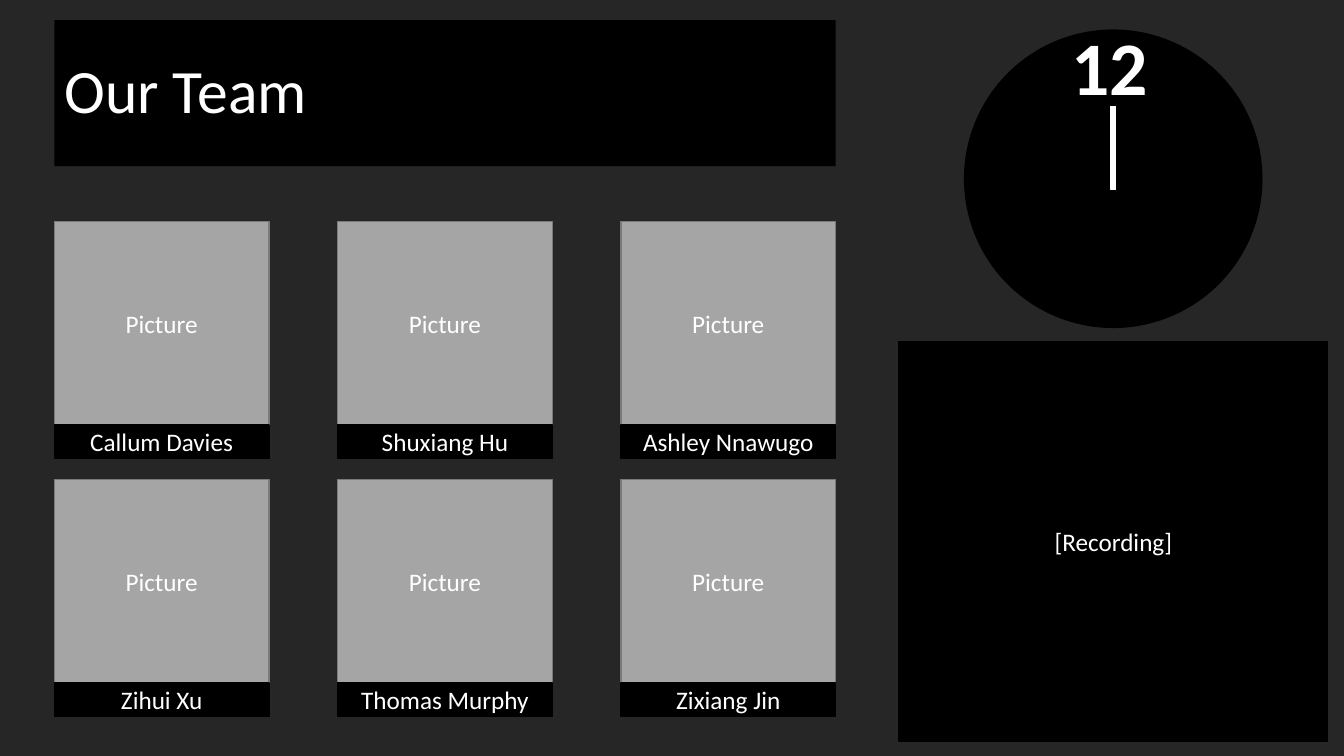
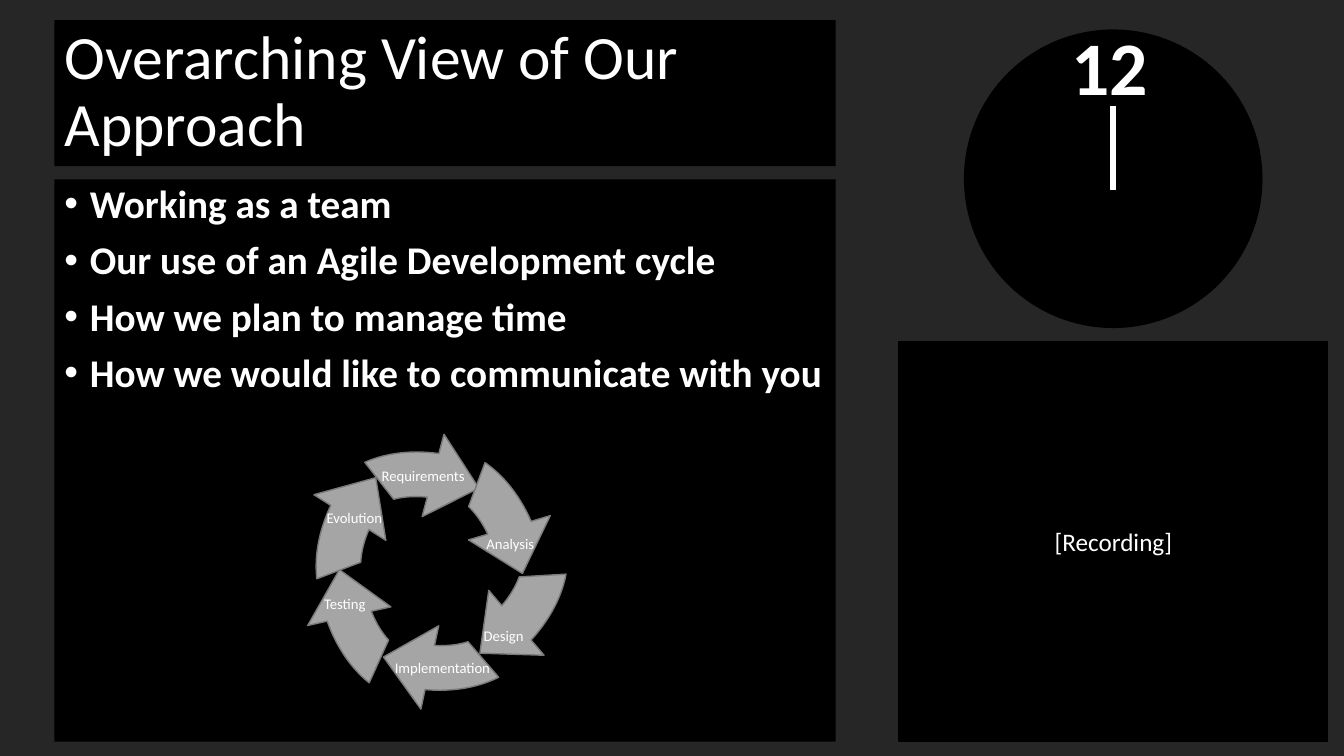
"""Build two team slides with a shared clock and recording panel."""
from pptx import Presentation
from pptx.dml.color import RGBColor
from pptx.enum import shapes, text
from pptx.util import Cm, Pt

BACKDROP = RGBColor(0x26, 0x26, 0x26)
BLACK = RGBColor(0, 0, 0)
WHITE = RGBColor(0xFF, 0xFF, 0xFF)
GREY = RGBColor(0xA5, 0xA5, 0xA5)
EDGE = RGBColor(0x7A, 0x7A, 0x7A)
FONT = "Calibri"
KIND = shapes.MSO_SHAPE
ALIGN = text.PP_ALIGN
ANCHOR = text.MSO_ANCHOR
LEFT, WIDTH = 1.37, 19.69


def write(sp, lines, size=18, bold=False, align=ALIGN.CENTER,
          anchor=ANCHOR.MIDDLE, wrap=True, spacing=None, before=0, indent=None):
    tf = sp.text_frame
    tf.word_wrap = wrap
    tf.auto_size = text.MSO_AUTO_SIZE.NONE
    tf.vertical_anchor = anchor
    tf.text = lines
    for p in tf.paragraphs:
        p.alignment = align
        p.line_spacing = spacing
        p.space_before = Pt(before)
        if indent:
            pPr = p._p.get_or_add_pPr()
            pPr.set("marL", str(Cm(indent)))
            pPr.set("indent", str(-Cm(indent)))
        for r in p.runs:
            r.font.name = FONT
            r.font.size = Pt(size)
            r.font.bold = bold
            r.font.color.rgb = WHITE


def add_box(slide, kind, left, top, width, height, fill=BLACK, line=BLACK):
    sp = slide.shapes.add_shape(kind, Cm(left), Cm(top), Cm(width), Cm(height))
    sp.shadow.inherit = False
    sp.fill.solid()
    sp.fill.fore_color.rgb = fill
    sp.line.color.rgb = line
    sp.line.width = Pt(1)
    return sp


prs = Presentation()
prs.slide_width, prs.slide_height = Cm(33.87), Cm(19.05)
background = prs.slide_master.background.fill
background.solid()
background.fore_color.rgb = BACKDROP

team = prs.slides.add_slide(prs.slide_layouts.get_by_name("Title Only"))
approach = prs.slides.add_slide(prs.slide_layouts.get_by_name("Title and Content"))

for slide, heading in ((team, "Our Team"),
                       (approach, "Overarching View of Our Approach")):
    add_box(slide, KIND.OVAL, 24.31, 0.76, 7.49, 7.49)
    add_box(slide, KIND.RECTANGLE, 27.99, 2.69, 0.13, 2.08, WHITE, WHITE)
    hour = slide.shapes.add_textbox(Cm(26.75), Cm(0.38), Cm(2.46), Cm(2.57))
    write(hour, "12", size=54, bold=True, align=ALIGN.LEFT,
          anchor=ANCHOR.TOP, wrap=False)
    recording = add_box(slide, KIND.RECTANGLE, 22.66, 8.61, 10.8, 10.06)
    write(recording, "[Recording]")

    title = slide.shapes.title
    title.left, title.top = Cm(LEFT), Cm(0.51)
    title.width, title.height = Cm(WIDTH), Cm(3.68)
    title.fill.solid()
    title.fill.fore_color.rgb = BLACK
    write(title, heading, size=44, align=ALIGN.LEFT, spacing=0.9)

members = ["Callum Davies", "Shuxiang Hu", "Ashley Nnawugo",
           "Zihui Xu", "Thomas Murphy", "Zixiang Jin"]
card_width, photo_height = 5.41, 5.12
for i, member in enumerate(members):
    row, column = divmod(i, 3)
    left = LEFT + column * (WIDTH - card_width) / 2
    top = 5.59 + row * 6.5
    photo = add_box(team, KIND.RECTANGLE, left, top, card_width, photo_height, GREY, EDGE)
    write(photo, "Picture")
    name = add_box(team, KIND.RECTANGLE, left, top + photo_height, card_width, 0.84)
    write(name, member)

body = approach.placeholders[1]
body.left, body.top = Cm(LEFT), Cm(4.52)
body.width, body.height = Cm(WIDTH), Cm(14.17)
body.fill.solid()
body.fill.fore_color.rgb = BLACK
points = ["Working as a team", "Our use of an Agile Development cycle",
          "How we plan to manage time", "How we would like to communicate with you"]
write(body, "\n".join(points), size=28, bold=True, align=ALIGN.LEFT,
      anchor=ANCHOR.TOP, spacing=0.9, before=10, indent=0.64)

stages = [
    ("Requirements", 31.4, (7.09, 11.2), (9.37, 11.63)),
    ("Analysis", 90, (6.55, 11.76), (12.01, 13.36)),
    ("Design", 156.1, (6.2, 11.33), (11.94, 15.67)),
    ("Implementation", 208.6, (5.77, 10.92), (9.7, 16.48)),
    ("Testing", 273.9, (6.45, 10.49), (7.92, 14.86)),
    ("Evolution", 318.9, (7.06, 9.93), (7.98, 12.7)),
]
for stage, rotation, (left, top), (label_left, label_top) in stages:
    arrow = add_box(approach, KIND.CIRCULAR_ARROW, left, top, 8.76, 6.71, GREY, EDGE)
    arrow.rotation = rotation
    for i, value in enumerate((0.17, 16.23, 135.85, 120.3, 0.16)):
        arrow.adjustments[i] = value
    label = approach.shapes.add_textbox(Cm(label_left), Cm(label_top), Cm(3.07), Cm(0.74))
    write(label, stage, size=10.5, align=ALIGN.LEFT, anchor=ANCHOR.TOP)

prs.save("out.pptx")
